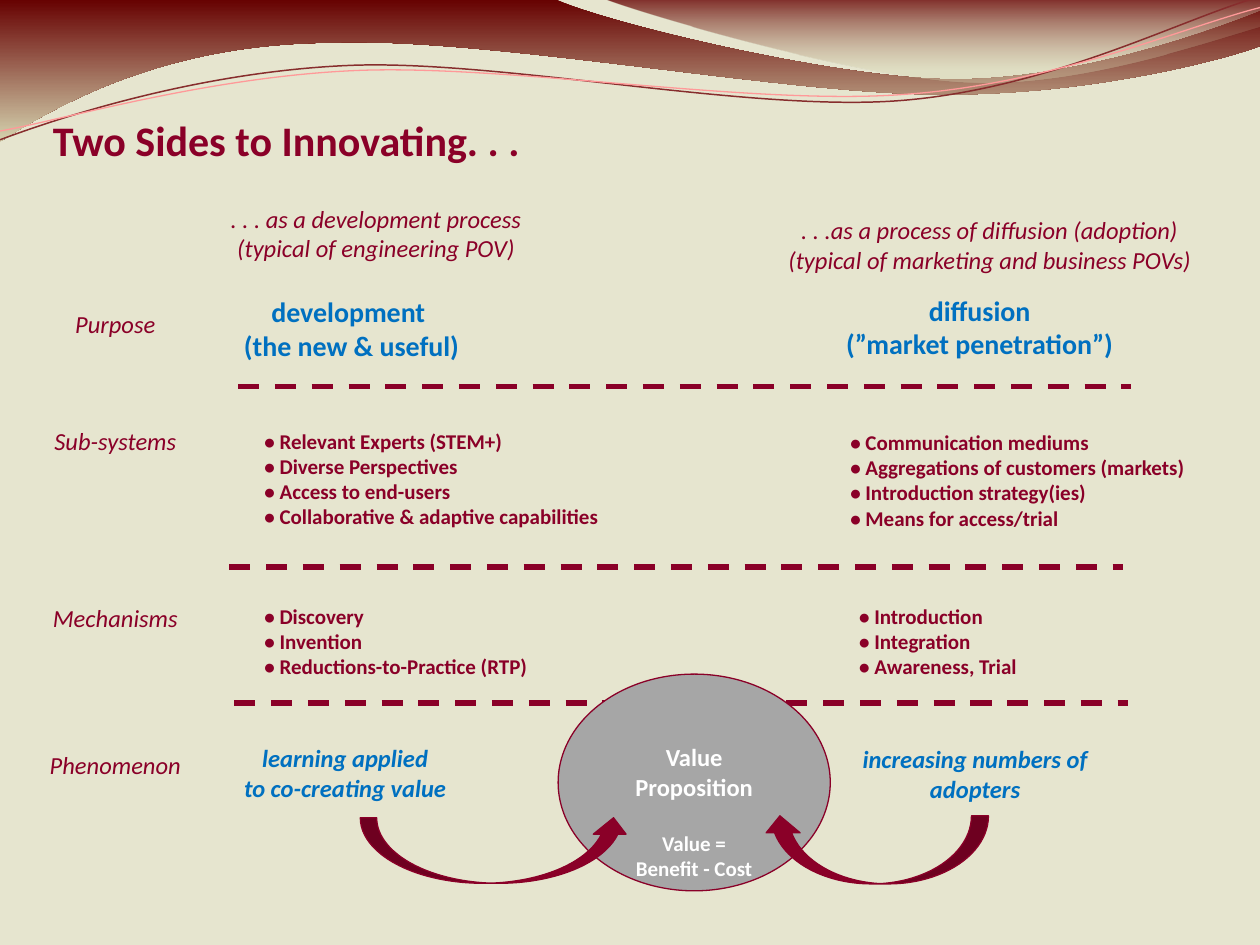
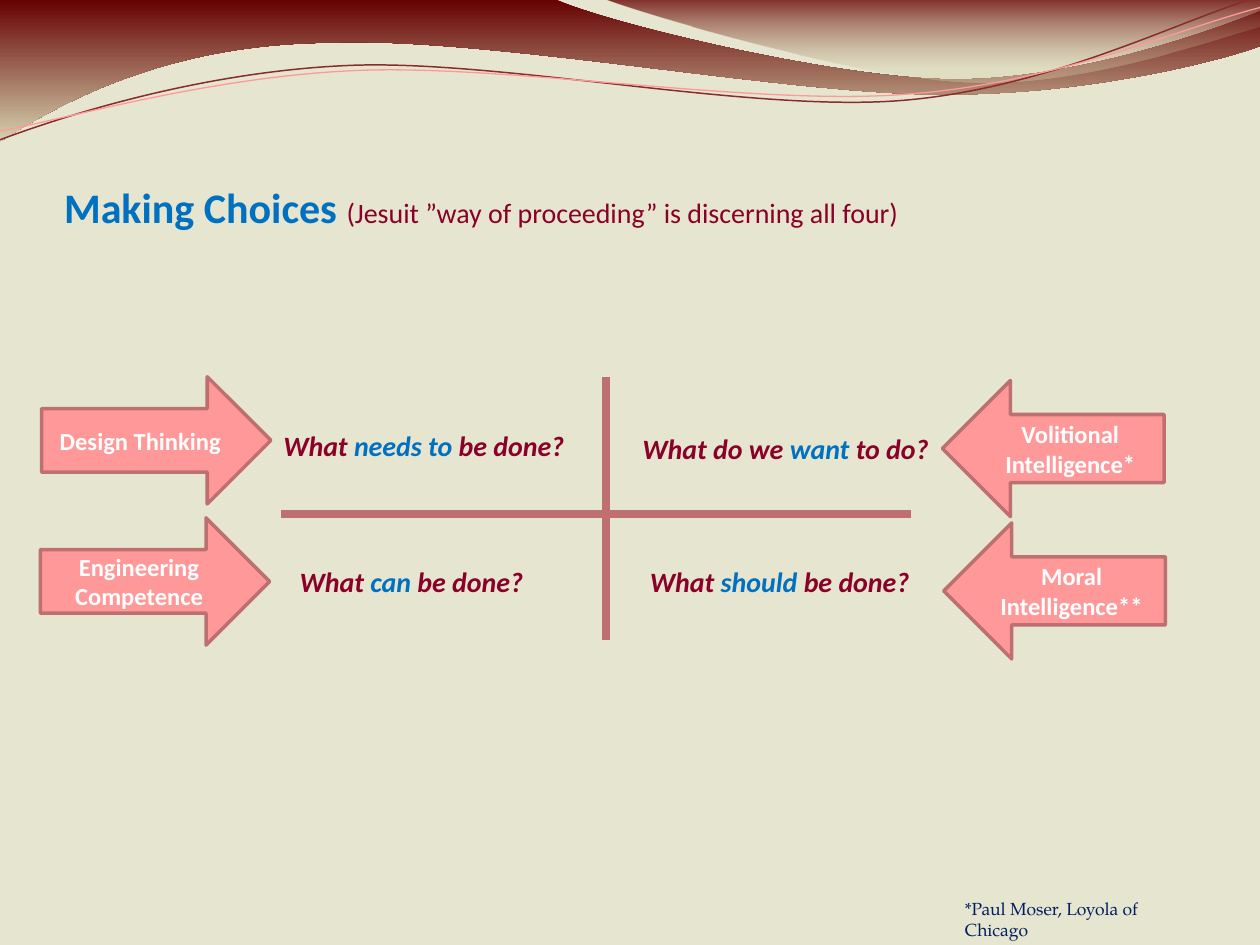
"""Build two slides on innovating and making choices under a shared wave banner."""
from dataclasses import dataclass
from typing import NamedTuple, Optional, Sequence, Union

from lxml.etree import SubElement
from pptx import Presentation
from pptx.dml.color import RGBColor
from pptx.enum.dml import MSO_LINE
from pptx.enum.shapes import MSO_CONNECTOR, MSO_SHAPE
from pptx.enum.text import MSO_ANCHOR, PP_ALIGN
from pptx.oxml.ns import qn
from pptx.util import Inches, Pt


@dataclass(frozen=True)
class Theme:
    background: str = "E6E5CF"
    crimson: str = "8A0028"
    blue: str = "0070C0"
    navy: str = "002060"
    white: str = "FFFFFF"
    gray: str = "A6A6A6"
    pink: str = "FF9999"
    rose: str = "BE7070"
    wave_dark: str = "660000"
    wave_light: str = "D5D3AF"
    wave_line: str = "872D2D"
    font: str = "Calibri"
    note_font: str = "TeX Gyre Pagella"
    title_size: float = 24
    heading_size: float = 16
    body_size: float = 14
    list_size: float = 12
    note_size: float = 10
    line_pitch: float = 16.8


THEME = Theme()


class Box(NamedTuple):
    left: float
    top: float
    width: float
    height: float


class Run(NamedTuple):
    text: str
    color: Optional[str] = None
    size: Optional[float] = None
    bold: Optional[bool] = None


class Line(NamedTuple):
    content: Union[str, Sequence[Run]]
    space_before: float = 0
    size: Optional[float] = None


@dataclass(frozen=True)
class Wave:
    start: tuple
    segments: tuple
    stops: tuple = ()
    line_color: str = ""
    line_width: float = 0


@dataclass(frozen=True)
class Label:
    box: Box
    lines: tuple
    size: float = THEME.body_size
    color: str = THEME.crimson
    bold: bool = False
    italic: bool = False


class Listing(NamedTuple):
    box: Box
    items: tuple


class Rule(NamedTuple):
    start: tuple
    end: tuple
    color: str
    width: float
    dashed: bool = False


class BlockArrow(NamedTuple):
    kind: MSO_SHAPE
    box: Box
    lines: tuple


WAVES = (
    Wave((0, 0), (
        ((4.4, -0.01),),
        ((4.76, 0.17), (6.64, 0.63), (7.58, 0.63)),
        ((8.53, 0.63), (9.58, 0.26), (10, 0.09)),
        ((10.01, 0.36),),
        ((9.83, 0.44), (8.7, 0.76), (7.46, 0.75)),
        ((6.22, 0.75), (3.82, 0.28), (2.57, 0.34)),
        ((1.29, 0.36), (0.46, 0.83), (-0.01, 1.13)),
    ), stops=((0, THEME.wave_dark, 100), (1, THEME.wave_light, 100))),
    Wave((4.79, -0.01), (
        ((5.09, 0.11), (6.82, 0.62), (7.69, 0.65)),
        ((8.56, 0.69), (9.61, 0.32), (10, 0.21)),
        ((10, 0),),
    ), stops=((0, THEME.wave_dark, 80), (0.8, THEME.wave_light, 35))),
    Wave((0, 1.11), (
        ((0.48, 0.93), (1.58, 0.57), (2.77, 0.52)),
        ((3.95, 0.47), (5.93, 0.89), (7.13, 0.8)),
        ((8.33, 0.71), (9.38, 0.15), (9.98, -0.02)),
    ), line_color=THEME.wave_line, line_width=0.85),
    Wave((0, 1.04), (
        ((0.47, 0.96), (1.64, 0.61), (2.83, 0.56)),
        ((4.03, 0.51), (5.97, 0.84), (7.17, 0.75)),
        ((8.36, 0.67), (9.41, 0.21), (10, 0.06)),
    ), line_color=THEME.pink, line_width=0.75),
)


def rgb(color: str) -> RGBColor:
    """Turn a hexadecimal colour into an RGBColor."""
    return RGBColor.from_string(color)


def write_text(frame, lines, *, size=THEME.body_size, color=THEME.crimson, bold=False,
               italic=False, font=THEME.font, align=PP_ALIGN.LEFT,
               anchor=MSO_ANCHOR.TOP, wrap=True) -> None:
    """Fill a text frame with formatted paragraphs."""
    frame.word_wrap = wrap
    frame.vertical_anchor = anchor
    for index, item in enumerate(lines):
        line = item if isinstance(item, Line) else Line(item)
        paragraph = frame.paragraphs[0] if index == 0 else frame.add_paragraph()
        paragraph.alignment = align
        if line.space_before:
            paragraph.space_before = Pt(line.space_before)
        runs = (Run(line.content),) if isinstance(line.content, str) else line.content
        for part in runs:
            run = paragraph.add_run()
            run.text = part.text
            run.font.name = font
            run.font.size = Pt(part.size or line.size or size)
            run.font.bold = bold if part.bold is None else part.bold
            run.font.italic = italic
            run.font.color.rgb = rgb(part.color or color)


def add_text(slide, box: Box, lines, **text_format):
    """Add a text box and return its text frame."""
    frame = slide.shapes.add_textbox(*map(Inches, box)).text_frame
    write_text(frame, lines, **text_format)
    return frame


def add_label(slide, label: Label) -> None:
    """Add one centred text label."""
    add_text(slide, label.box, label.lines, size=label.size, color=label.color,
             bold=label.bold, italic=label.italic, align=PP_ALIGN.CENTER, wrap=False)


def add_listing(slide, listing: Listing) -> None:
    """Add one list with a dot before each item."""
    add_text(slide, listing.box, [f"• {item}" for item in listing.items],
             size=THEME.list_size, bold=True)


def add_shape(slide, kind: MSO_SHAPE, box: Box, fill: str, line: str, width: float):
    """Add a filled and outlined preset shape."""
    shape = slide.shapes.add_shape(kind, *map(Inches, box))
    shape.shadow.inherit = False
    shape.fill.solid()
    shape.fill.fore_color.rgb = rgb(fill)
    shape.line.color.rgb = rgb(line)
    shape.line.width = Pt(width)
    return shape


def add_rule(slide, rule: Rule) -> None:
    """Add a straight line."""
    connector = slide.shapes.add_connector(
        MSO_CONNECTOR.STRAIGHT, *map(Inches, rule.start + rule.end))
    connector.line.color.rgb = rgb(rule.color)
    connector.line.width = Pt(rule.width)
    if rule.dashed:
        connector.line.dash_style = MSO_LINE.DASH
    SubElement(connector.element.spPr, qn("a:effectLst"))


def add_outline(slide, wave: Wave):
    """Add a freeform whose three-point segments are Bezier curves."""
    points = [(Inches(x), Inches(y)) for segment in wave.segments for x, y in segment]
    builder = slide.shapes.build_freeform(*map(Inches, wave.start))
    builder.add_line_segments(points, close=bool(wave.stops))
    shape = builder.convert_to_shape()
    steps = iter(list(shape.element.iter(qn("a:lnTo"))))
    for segment in wave.segments:
        first, *others = [next(steps) for _ in segment]
        if others:
            first.tag = qn("a:cubicBezTo")
        for other in others:
            first.append(other[0])
            other.getparent().remove(other)
    return shape


def add_wave(slide, wave: Wave):
    """Draw one wave, either as a gradient area or as a thin line."""
    shape = add_outline(slide, wave)
    shape.shadow.inherit = False
    if not wave.stops:
        shape.fill.background()
        shape.line.color.rgb = rgb(wave.line_color)
        shape.line.width = Pt(wave.line_width)
        return shape
    shape.line.fill.background()
    shape.fill.gradient()
    shape.fill.gradient_angle = 270
    for stop, (position, color, _) in zip(shape.fill.gradient_stops, wave.stops):
        stop.position = position
        stop.color.rgb = rgb(color)
    for color, (_, _, opacity) in zip(shape.element.iter(qn("a:srgbClr")), wave.stops):
        if opacity < 100:
            SubElement(color, qn("a:alpha")).set("val", str(opacity * 1000))
    return shape


def dress_layout(layout, slide) -> None:
    """Give the layout its background and move the waves onto it."""
    layout.background.fill.solid()
    layout.background.fill.fore_color.rgb = rgb(THEME.background)
    for placeholder in list(layout.placeholders):
        layout.shapes.element.remove(placeholder.element)
    for shape in [add_wave(slide, wave) for wave in WAVES]:
        layout.shapes.element.append(shape.element)


def build_two_sides(slide) -> None:
    """Compare development and diffusion row by row."""
    title = add_text(slide, Box(0.42, 0.83, 9, 0.48), ("Two Sides to Innovating. . .",),
                     size=THEME.title_size, bold=True, anchor=MSO_ANCHOR.BOTTOM)
    title.margin_left = title.margin_right = title.margin_bottom = 0
    rows = (("Purpose", 0), ("Sub-systems", 3), ("Mechanisms", 5), ("Phenomenon", 4))
    row_lines = tuple(Line(name, gap * THEME.line_pitch) for name, gap in rows)
    heading = dict(size=THEME.heading_size, color=THEME.blue, bold=True)
    outcome = dict(color=THEME.blue, bold=True, italic=True)
    for label in (
        Label(Box(0.29, 2.4, 1.25, 3.87), row_lines, italic=True),
        Label(Box(1.72, 1.57, 2.53, 0.57),
              (". . . as a development process", "(typical of engineering POV)"), italic=True),
        Label(Box(6.14, 1.66, 3.43, 0.57), (". . .as a process of diffusion (adoption)",
              "(typical of marketing and business POVs)"), italic=True),
        Label(Box(1.82, 2.29, 1.94, 0.64), ("development ", "(the new & useful)"), **heading),
        Label(Box(6.6, 2.28, 2.35, 0.64), ("diffusion", "(”market penetration”)"), **heading),
        Label(Box(1.83, 5.85, 1.82, 0.57), ("learning applied", "to co-creating value"), **outcome),
        Label(Box(6.74, 5.86, 2, 0.57), ("increasing numbers of", "adopters"), **outcome),
    ):
        add_label(slide, label)
    for listing in (
        Listing(Box(2, 3.35, 3.51, 0.91), ("Relevant Experts (STEM+)", "Diverse Perspectives",
                "Access to end-users", "Collaborative & adaptive capabilities")),
        Listing(Box(6.65, 3.36, 3.06, 0.91), ("Communication mediums",
                "Aggregations of customers (markets)", "Introduction strategy(ies)",
                "Means for access/trial")),
        Listing(Box(2, 4.74, 3.06, 0.91), ("Discovery", "Invention", "Reductions-to-Practice (RTP)")),
        Listing(Box(6.72, 4.74, 3.28, 0.71), ("Introduction", "Integration", "Awareness, Trial")),
    ):
        add_listing(slide, listing)
    for left, top in ((1.89, 3.07), (1.82, 4.5), (1.86, 5.58)):
        add_rule(slide, Rule((left, top), (left + 7.09, top), THEME.crimson, 3, dashed=True))
    value = add_shape(slide, MSO_SHAPE.OVAL, Box(4.43, 5.35, 2.16, 1.72),
                      THEME.gray, THEME.crimson, 0.75)
    value.text_frame.margin_top = Inches(0.29)
    write_text(value.text_frame, ("Value Proposition",
               Line("Value =", THEME.line_pitch, THEME.list_size),
               Line("Benefit - Cost", size=THEME.list_size)),
               color=THEME.white, bold=True, align=PP_ALIGN.CENTER)
    for box, rotation in ((Box(6.68, 5.85, 0.54, 1.79), 90), (Box(3.67, 5.68, 0.52, 2.14), 270)):
        arrow = add_shape(slide, MSO_SHAPE.CURVED_LEFT_ARROW, box, THEME.crimson, THEME.crimson, 0.75)
        arrow.rotation = rotation
        if rotation == 270:
            arrow.element.spPr.xfrm.set("flipH", "1")


def build_choices(slide) -> None:
    """Place four questions around a cross, each with its kind of intelligence."""
    add_text(slide, Box(0.41, 1.39, 6.85, 0.5), ((
        Run("Making Choices ", THEME.blue, THEME.title_size, True),
        Run("(Jesuit ”way of proceeding” is discerning all four)")),),
        size=THEME.heading_size, wrap=False)
    add_rule(slide, Rule((4.81, 2.99), (4.81, 5.08), THEME.rose, 4.5))
    add_rule(slide, Rule((7.23, 4.08), (2.23, 4.08), THEME.rose, 4.5))
    for box, before, stress, after in (
        (Box(5.06, 4.43, 2.4, 0.37), "What ", "should", " be done?"),
        (Box(2.15, 3.35, 2.57, 0.37), "What ", "needs to", " be done?"),
        (Box(2.28, 4.43, 2.57, 0.37), "What ", "can", " be done?"),
        (Box(5, 3.38, 2.56, 0.37), "What do we", " want", " to do?"),
    ):
        add_text(slide, box, ((Run(before), Run(stress, THEME.blue), Run(after)),),
                 size=THEME.heading_size, bold=True, italic=True)
    right, left = MSO_SHAPE.RIGHT_ARROW, MSO_SHAPE.LEFT_ARROW
    for arrow in (
        BlockArrow(right, Box(0.33, 2.99, 1.82, 1.01), ("Design Thinking",)),
        BlockArrow(left, Box(7.48, 3.02, 1.76, 1.08), ("Volitional Intelligence*",)),
        BlockArrow(left, Box(7.49, 4.15, 1.76, 1.08), ("Moral Intelligence**",)),
        BlockArrow(right, Box(0.32, 4.11, 1.82, 1.01), ("Engineering", "Competence")),
    ):
        shape = add_shape(slide, arrow.kind, arrow.box, THEME.pink, THEME.rose, 2)
        write_text(shape.text_frame, arrow.lines, color=THEME.white, bold=True,
                   align=PP_ALIGN.CENTER, anchor=MSO_ANCHOR.MIDDLE)
    add_text(slide, Box(7.56, 7.08, 2.1, 0.27), ("*Paul Moser, Loyola of Chicago",),
             size=THEME.note_size, color=THEME.navy, font=THEME.note_font)


def main() -> None:
    """Build and save the presentation."""
    presentation = Presentation()
    presentation.slide_width, presentation.slide_height = Inches(10), Inches(7.5)
    layout = presentation.slide_layouts[6]
    slides = [presentation.slides.add_slide(layout) for _ in range(2)]
    dress_layout(layout, slides[0])
    build_two_sides(slides[0])
    build_choices(slides[1])
    presentation.save("out.pptx")


main()
